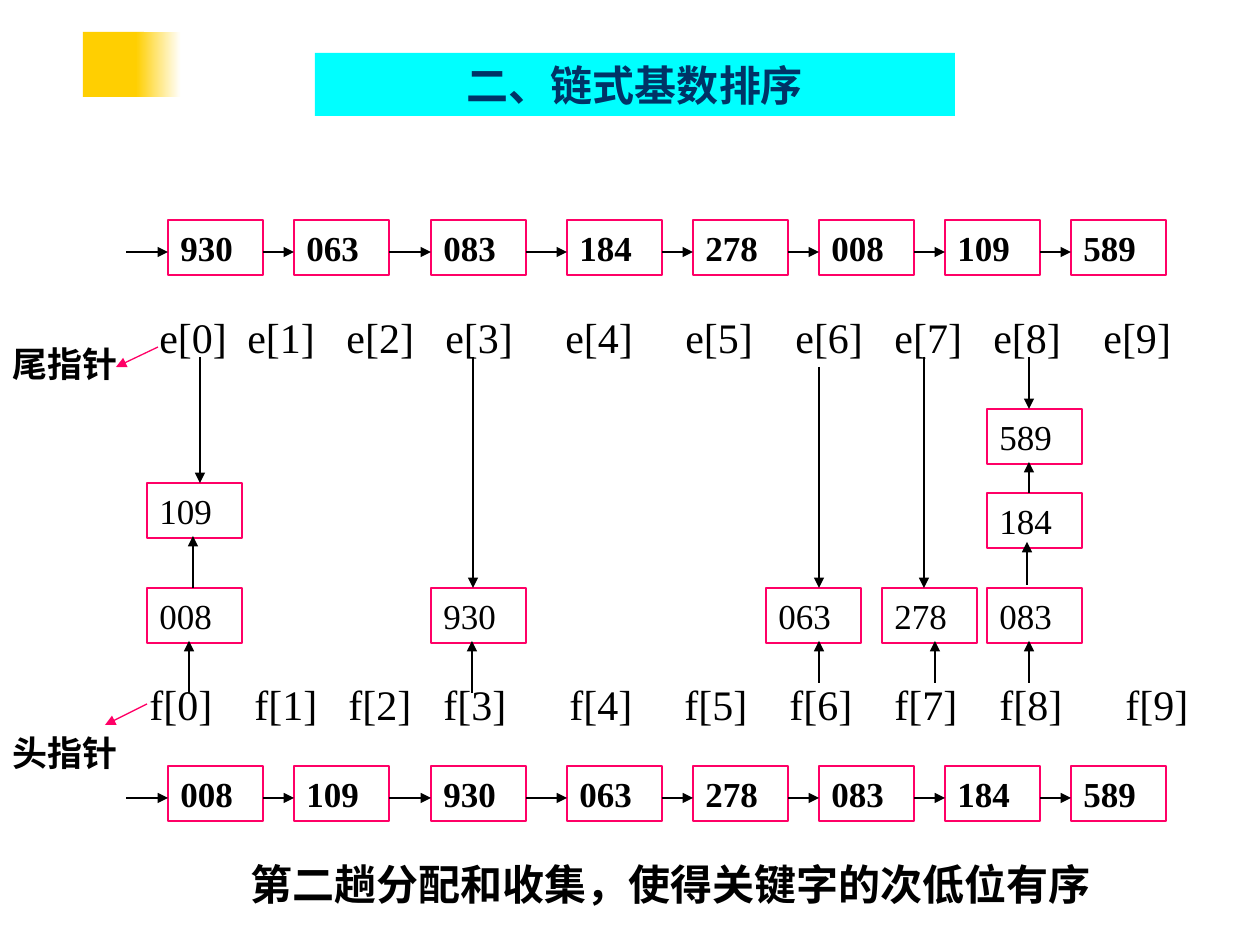
import dataclasses

import pptx
import pptx.dml.color
import pptx.enum.shapes
import pptx.enum.text
import pptx.oxml
import pptx.oxml.ns
import pptx.util
from lxml import etree

PX = 914400 / 126  # one px in EMU
BOX_WIDTH, BOX_HEIGHT = 95, 55


@dataclasses.dataclass(frozen=True)
class Theme:
    font: str = "Times New Roman"
    ink: str = "000000"
    pink: str = "FF0066"
    cyan: str = "00FFFF"
    navy: str = "003366"
    gold: str = "FFCF01"
    white: str = "FFFFFF"
    large: int = 24
    small: int = 20
    line: float = 0.75


THEME = Theme()


def emu(px):
    return pptx.util.Emu(round(px * PX))


def rgb(color):
    return pptx.dml.color.RGBColor.from_string(color)


def add_rect(page, left, top, width, height, fill=None, line=None):
    rect = page.shapes.add_shape(
        pptx.enum.shapes.MSO_SHAPE.RECTANGLE, emu(left), emu(top), emu(width), emu(height)
    )
    rect.shadow.inherit = False
    if fill:
        rect.fill.solid()
        rect.fill.fore_color.rgb = rgb(fill)
    else:
        rect.fill.background()
    if line:
        rect.line.color.rgb = rgb(line)
        rect.line.width = pptx.util.Pt(THEME.line)
    else:
        rect.line.fill.background()
    return rect


def set_text(box, text, size, color=THEME.ink, bold=False, centred=False, tabs=()):
    frame = box.text_frame
    frame.word_wrap = True
    frame.auto_size = pptx.enum.text.MSO_AUTO_SIZE.SHAPE_TO_FIT_TEXT
    frame.vertical_anchor = pptx.enum.text.MSO_ANCHOR.TOP
    frame.text = text
    para = frame.paragraphs[0]
    align = pptx.enum.text.PP_ALIGN
    para.alignment = align.CENTER if centred else align.LEFT
    if tabs:
        properties = para._p.get_or_add_pPr()
        tab_list = etree.SubElement(properties, pptx.oxml.ns.qn("a:tabLst"))
        for position in tabs:
            etree.SubElement(
                tab_list, pptx.oxml.ns.qn("a:tab"), pos=str(emu(position)), algn="l"
            )
    for span in para.runs:
        span.font.name = THEME.font
        span.font.size = pptx.util.Pt(size)
        span.font.bold = bold
        span.font.color.rgb = rgb(color)


def add_label(page, left, top, width, height, text, size, **style):
    box = page.shapes.add_textbox(emu(left), emu(top), emu(width), emu(height))
    set_text(box, text, size, **style)


def add_key(page, left, top, key, bold=False):
    box = add_rect(page, left, top, BOX_WIDTH, BOX_HEIGHT, line=THEME.pink)
    set_text(box, key, THEME.small, bold=bold)


def add_arrow(page, start, end, color=THEME.ink):
    arrow = page.shapes.add_connector(
        pptx.enum.shapes.MSO_CONNECTOR.STRAIGHT, *map(emu, start), *map(emu, end)
    )
    arrow.line.color.rgb = rgb(color)
    arrow.line.width = pptx.util.Pt(THEME.line)
    outline = arrow.line._get_or_add_ln()
    etree.SubElement(outline, pptx.oxml.ns.qn("a:tailEnd"), type="triangle")
    etree.SubElement(arrow._element.spPr, pptx.oxml.ns.qn("a:effectLst"))


def add_chain(page, top, keys):
    """A linked list: an arrow leads into every key box."""
    lefts = (168, 294, 431, 567, 693, 819, 945, 1071)
    y = top + 32
    arrow_start = 126
    for left, key in zip(lefts, keys):
        add_key(page, left, top, key, bold=True)
        add_arrow(page, (arrow_start, y), (left, y))
        arrow_start = left + BOX_WIDTH


def add_pointers(page, name, left, top, starts, lead=""):
    """One line of ten pointer names, set on tab stops."""
    text = lead + "\t".join(f"{name}[{digit}]" for digit in range(10))
    add_label(page, left, top, 1260 - left, 63, text, THEME.large, tabs=starts)


def add_decoration(page):
    add_rect(page, 83, 32, 61, 65, fill=THEME.gold)
    fade = add_rect(page, 136, 32, 45, 65)
    fade.fill.gradient()
    fade.fill.gradient_angle = 0
    for stop, color in zip(fade.fill.gradient_stops, (THEME.gold, THEME.white)):
        stop.color.rgb = rgb(color)


def add_buckets(page):
    # Keys in their buckets: left, top, key
    for left, top, key in (
        (147, 483, "109"), (147, 588, "008"),
        (431, 588, "930"), (766, 588, "063"), (882, 588, "278"),
        (987, 409, "589"), (987, 493, "184"), (987, 588, "083"),
    ):
        add_key(page, left, top, key)

    # Vertical links: x, start, end
    for x, start, end in (
        # from the tail pointers
        (200, 357, 483), (473, 357, 588), (819, 367, 588), (924, 357, 588), (1029, 357, 409),
        # from the head pointers
        (189, 693, 641), (472, 693, 641), (819, 683, 641), (935, 683, 641), (1029, 683, 641),
        # between keys
        (193, 588, 536), (1027, 585, 542), (1029, 493, 462),
    ):
        add_arrow(page, (x, start), (x, end))


def main():
    deck = pptx.Presentation()
    deck.slide_width, deck.slide_height = emu(1260), emu(945)
    page = deck.slides.add_slide(deck.slide_layouts[6])

    # Title
    add_decoration(page)
    title = add_rect(page, 315, 53, 640, 63, fill=THEME.cyan)
    set_text(title, "二、链式基数排序", THEME.large, THEME.navy, bold=True, centred=True)

    # Lists before and after the pass
    add_chain(page, 220, ("930", "063", "083", "184", "278", "008", "109", "589"))
    add_chain(page, 766, ("008", "109", "930", "063", "278", "083", "184", "589"))

    # Tail and head pointers with their buckets
    add_pointers(page, "e", 147, 305, (88, 187, 286, 406, 526, 636, 735, 834, 944))
    add_pointers(
        page, "f", 116, 672, (21, 126, 220, 315, 441, 556, 661, 766, 871, 997), lead="\t"
    )
    add_buckets(page)

    # Names of the pointer rows
    for top, text, start, end in (
        (336, "尾指针", (158, 347), (116, 367)),
        (725, "头指针", (147, 704), (105, 725)),
    ):
        add_label(page, 0, top, 168, BOX_HEIGHT, text, THEME.small, bold=True)
        add_arrow(page, start, end, THEME.pink)

    # Conclusion
    add_label(
        page, 238, 852, 917, 63, "第二趟分配和收集，使得关键字的次低位有序",
        THEME.large, bold=True,
    )
    deck.save("out.pptx")


if __name__ == "__main__":
    main()
